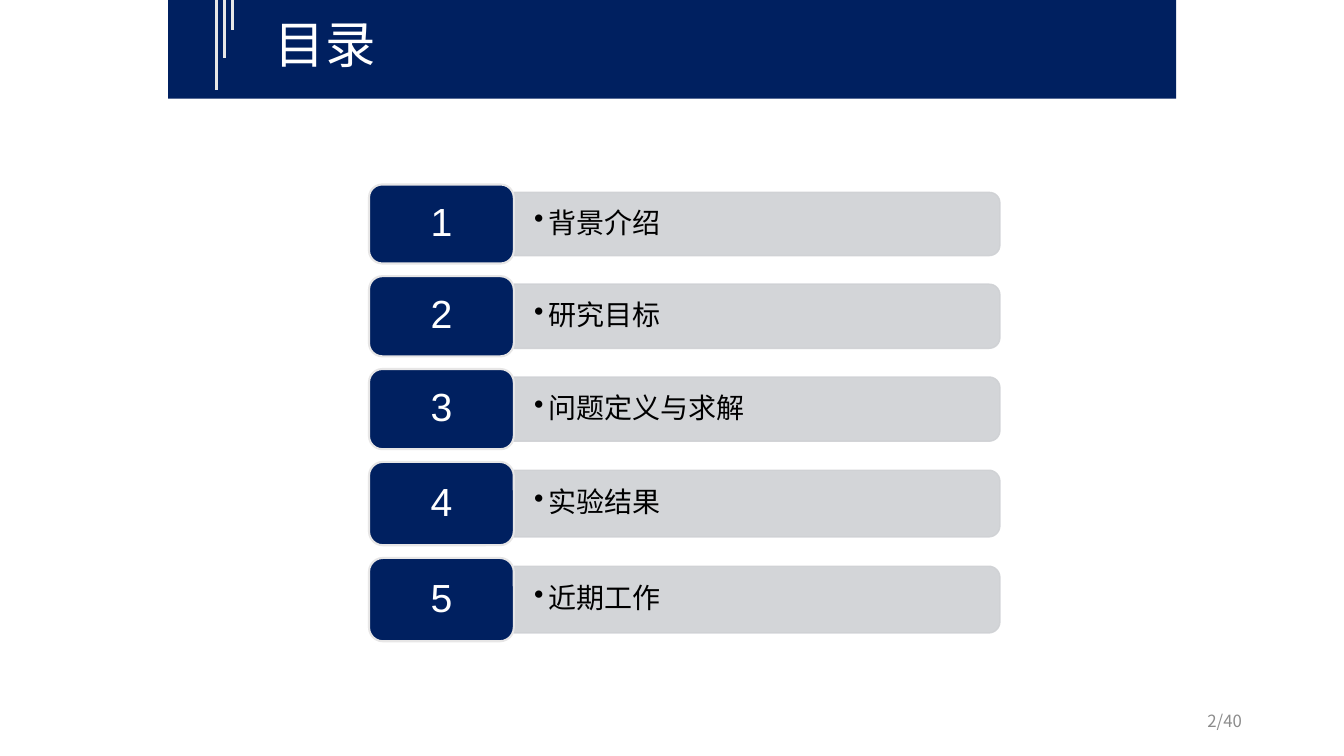
from dataclasses import dataclass
from math import cos, pi, sin

from lxml.etree import SubElement
from pptx import Presentation
from pptx.dml.color import RGBColor
from pptx.enum.shapes import MSO_CONNECTOR as Connector, MSO_SHAPE as Preset
from pptx.enum.text import MSO_ANCHOR as Anchor, PP_ALIGN as Align
from pptx.oxml.ns import qn
from pptx.util import Cm, Pt


@dataclass(frozen=True)
class Theme:
    navy: str = "002060"
    grey: str = "CFD1D4"
    pale: str = "E7E6E6"
    white: str = "FFFFFF"
    black: str = "000000"
    muted: str = "8C8C8C"
    latin: str = "Arial"
    chinese: str = "Noto Sans CJK SC"
    title: int = 36
    number: int = 28
    topic: int = 20
    page: int = 12


class Agenda:
    def __init__(self, slide, theme):
        self.slide = slide
        self.theme = theme

    def paint(self, shape, fill, line=None, width=0, opacity=None):
        shape.shadow.inherit = False
        shape.fill.solid()
        shape.fill.fore_color.rgb = RGBColor.from_string(fill)
        if line is None:
            shape.line.fill.background()
        else:
            shape.line.color.rgb = RGBColor.from_string(line)
            shape.line.width = Pt(width)
        if opacity is not None:
            for color in shape._element.spPr.iter(qn("a:srgbClr")):
                SubElement(color, qn("a:alpha"), val=str(opacity * 1000))

    def set_text(self, shape, text, size, color, font, align=Align.LEFT,
                 anchor=Anchor.MIDDLE, insets=(0.25, 0.13, 0.25, 0.13)):
        frame = shape.text_frame
        frame.word_wrap = True
        frame.vertical_anchor = anchor
        (frame.margin_left, frame.margin_top,
         frame.margin_right, frame.margin_bottom) = map(Cm, insets)
        paragraph = frame.paragraphs[0]
        paragraph.text = text
        paragraph.alignment = align
        paragraph.font.size = Pt(size)
        paragraph.font.color.rgb = RGBColor.from_string(color)
        paragraph.font.name = font
        SubElement(paragraph.font._element, qn("a:ea"), typeface=font)
        return paragraph

    def band(self, left, top, width, height):
        band = self.slide.shapes.add_shape(
            Preset.RECTANGLE, Cm(left), Cm(top), Cm(width), Cm(height))
        self.paint(band, self.theme.navy)

    def stripe(self, x, top, bottom):
        stripe = self.slide.shapes.add_connector(
            Connector.STRAIGHT, Cm(x), Cm(top), Cm(x), Cm(bottom))
        stripe.line.color.rgb = RGBColor.from_string(self.theme.pale)
        stripe.line.width = Pt(2.25)
        SubElement(stripe._element.spPr, qn("a:effectLst"))

    def label(self, box, text, size, color, **layout):
        label = self.slide.shapes.add_textbox(*map(Cm, box))
        self.set_text(label, text, size, color, self.theme.chinese, **layout)

    def number_tile(self, left, top, width, height, number):
        tile = self.slide.shapes.add_shape(
            Preset.ROUNDED_RECTANGLE, Cm(left), Cm(top), Cm(width), Cm(height))
        self.paint(tile, self.theme.navy, self.theme.pale, 1.5)
        paragraph = self.set_text(
            tile, str(number), self.theme.number, self.theme.white,
            self.theme.latin, Align.CENTER, insets=(0.38, 0.23, 0.38, 0.23))
        paragraph.line_spacing = 0.9

    def topic_bar(self, left, top, width, height, topic):
        right, bottom, radius = left + width, top + height, height / 6
        angles = [step * pi / 16 for step in range(9)]
        upper = [(right - radius + radius * sin(a),
                  top + radius - radius * cos(a)) for a in angles]
        lower = [(x, top + bottom - y) for x, y in reversed(upper)]
        outline = self.slide.shapes.build_freeform(Cm(left), Cm(top))
        outline.add_line_segments(
            [(Cm(x), Cm(y)) for x, y in [*upper, *lower, (left, bottom)]])
        bar = outline.convert_to_shape()
        self.paint(bar, self.theme.grey, self.theme.grey, 1, opacity=90)
        paragraph = self.set_text(
            bar, topic, self.theme.topic, self.theme.black,
            self.theme.chinese, insets=(0.51, 0.33, 0.58, 0.33))
        paragraph.line_spacing = 0.9
        paragraph.level = 1
        properties = paragraph._p.get_or_add_pPr()
        properties.set("marL", str(Cm(0.36)))
        properties.set("indent", str(Cm(-0.36)))
        bullet = properties.makeelement(qn("a:buChar"), {"char": "•"})
        paragraph.font._element.addprevious(bullet)


def main():
    deck = Presentation()
    deck.slide_width, deck.slide_height = Cm(33.87), Cm(19.05)
    theme = Theme()
    agenda = Agenda(deck.slides.add_slide(deck.slide_layouts[6]), theme)

    agenda.band(4.24, 0, 25.4, 2.49)
    for index, bottom in enumerate((2.26, 1.47, 0.76)):
        agenda.stripe(5.46 + 0.2 * index, -0.08, bottom)
    agenda.label((6.68, 0.2, 7.7, 1.8), "目录", theme.title, theme.white,
                 anchor=Anchor.TOP)

    topics = (("背景介绍", 1.99), ("研究目标", 2.02), ("问题定义与求解", 2.02),
              ("实验结果", 2.1), ("近期工作", 2.1))
    left, top, tile_width, bar_width, gap = 9.3, 4.65, 3.65, 12.25, 0.32
    for number, (topic, height) in enumerate(topics, 1):
        agenda.topic_bar(left + tile_width, top + 0.1 * height,
                         bar_width, 0.8 * height, topic)
        agenda.number_tile(left, top, tile_width, height, number)
        top += height + gap

    agenda.label((23.93, 17.65, 7.62, 1.02), "2/40", theme.page, theme.muted,
                 align=Align.RIGHT)
    deck.save("out.pptx")


if __name__ == "__main__":
    main()
